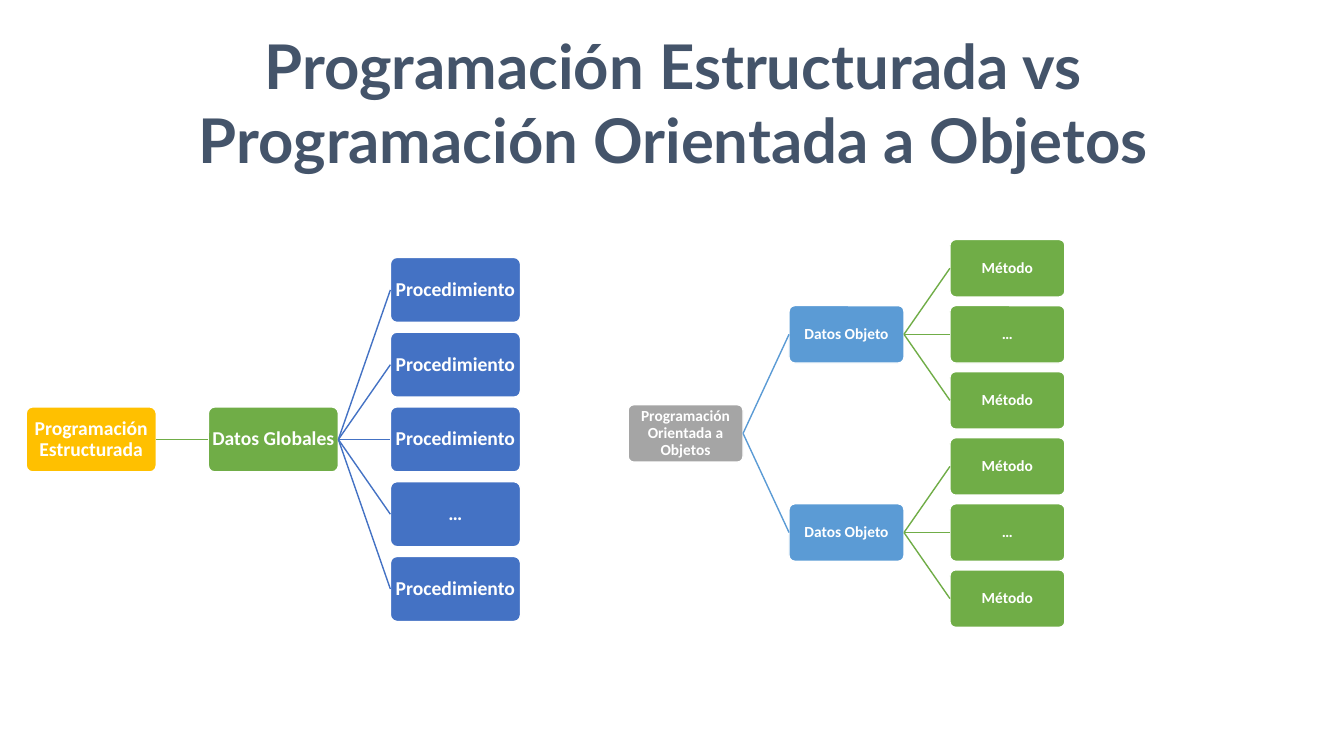
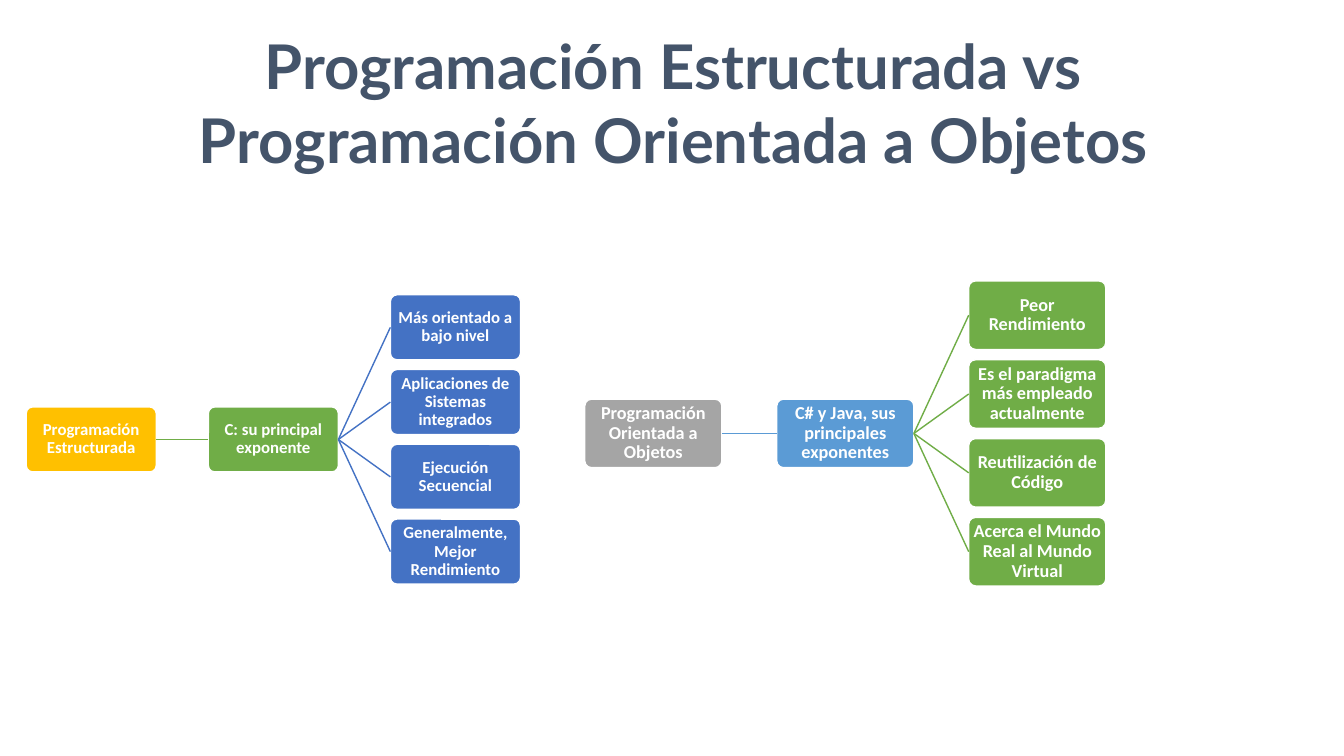
from dataclasses import dataclass

from pptx import Presentation
from pptx.dml.color import RGBColor
from pptx.enum.shapes import MSO_CONNECTOR, MSO_SHAPE
from pptx.enum.text import MSO_ANCHOR, MSO_AUTO_SIZE, PP_ALIGN
from pptx.oxml.ns import qn
from pptx.presentation import Presentation as Deck
from pptx.shapes.autoshape import Shape
from pptx.slide import Slide
from pptx.util import Inches, Pt

ROUNDED = MSO_SHAPE.ROUNDED_RECTANGLE
STRAIGHT = MSO_CONNECTOR.STRAIGHT
CENTER = PP_ALIGN.CENTER
TOP, MIDDLE = MSO_ANCHOR.TOP, MSO_ANCHOR.MIDDLE
FIT_SHAPE = MSO_AUTO_SIZE.SHAPE_TO_FIT_TEXT
LEFT_SIDE, RIGHT_SIDE = 1, 3
TITLE_ONLY = 5

COLORS = {
    "title": "44546A",
    "white": "FFFFFF",
    "gold": "FFC000",
    "green": "70AD47",
    "blue": "4472C4",
    "gray": "A5A5A5",
    "sky": "5B9BD5",
}
TITLE_FONT, BOX_FONT = "Lato", "Calibri"
TITLE = "Programación Estructurada vs\nProgramación Orientada a Objetos"

# Tree proportions, relative to the box width
BOX_HEIGHT = 0.5
COLUMN_STEP = 1.4
ROW_STEP = 0.575


@dataclass(frozen=True)
class Node:
    text: str
    color: str
    children: tuple["Node", ...] = ()

    def leaf_count(self) -> int:
        return sum(child.leaf_count() for child in self.children) or 1


@dataclass(frozen=True)
class Tree:
    root: Node
    left: float
    middle: float
    box_width: float
    font_size: int


def color(name: str) -> RGBColor:
    return RGBColor.from_string(COLORS[name])


def leaves(name: str, *texts: str) -> tuple[Node, ...]:
    return tuple(Node(text, name) for text in texts)


def structured_tree(branch: str, details: tuple[str, ...], font_size: int) -> Tree:
    trunk = Node(branch, "green", leaves("blue", *details))
    root = Node("Programación Estructurada", "gold", (trunk,))
    return Tree(root, 0.26, 4.36, 1.29, font_size)


def object_tree(branches: tuple[Node, ...], left: float, box_width: float,
                font_size: int) -> Tree:
    root = Node("Programación Orientada a Objetos", "gray", branches)
    return Tree(root, left, 4.3, box_width, font_size)


DATA_OBJECT = Node("Datos Objeto", "sky", leaves("green", "Método", "…", "Método"))
LANGUAGES = Node(
    "C# y Java, sus principales exponentes", "sky",
    leaves("green", "Peor Rendimiento", "Es el paradigma más empleado actualmente",
           "Reutilización de Código", "Acerca el Mundo Real al Mundo Virtual"))

PAGES = (
    (structured_tree("Datos Globales",
                     ("Procedimiento",) * 3 + ("…", "Procedimiento"), 14),
     object_tree((DATA_OBJECT, DATA_OBJECT), 6.23, 1.14, 11)),
    (structured_tree("C: su principal exponente",
                     ("Más orientado a bajo nivel",
                      "Aplicaciones de Sistemas integrados",
                      "Ejecución Secuencial",
                      "Generalmente, Mejor Rendimiento"), 12),
     object_tree((LANGUAGES,), 5.8, 1.36, 13)),
)


def add_title(page: Slide) -> None:
    title = page.shapes.title
    title.left, title.top = Inches(0.13), Inches(0.26)
    title.width, title.height = Inches(13.1), Inches(1.53)
    frame = title.text_frame
    frame.text = TITLE
    frame.word_wrap = True
    frame.auto_size = FIT_SHAPE
    frame.vertical_anchor = TOP
    frame.margin_left = frame.margin_right = Inches(0.05)
    frame.margin_top = frame.margin_bottom = Inches(0.02)
    for para in frame.paragraphs:
        para.alignment = CENTER
        para.font.name = TITLE_FONT
        para.font.size = Pt(44)
        para.font.bold = True
        para.font.color.rgb = color("title")


def add_box(page: Slide, tree: Tree, node: Node, left: float, middle: float) -> Shape:
    height = tree.box_width * BOX_HEIGHT
    box = page.shapes.add_shape(ROUNDED, Inches(left), Inches(middle - height / 2),
                                Inches(tree.box_width), Inches(height))
    box.adjustments[0] = 0.1
    box.shadow.inherit = False
    box.fill.solid()
    box.fill.fore_color.rgb = color(node.color)
    box.line.color.rgb = color("white")
    box.line.width = Pt(1)

    frame = box.text_frame
    frame.text = node.text
    frame.word_wrap = True
    frame.vertical_anchor = MIDDLE
    frame.margin_left = frame.margin_right = 0
    frame.margin_top = frame.margin_bottom = Inches(0.01)
    para = frame.paragraphs[0]
    para.alignment = CENTER
    para.line_spacing = 0.9
    para.font.name = BOX_FONT
    para.font.size = Pt(tree.font_size)
    para.font.bold = True
    para.font.color.rgb = color("white")
    return box


def add_branch(page: Slide, parent: Shape, child: Shape, color_name: str) -> None:
    branch = page.shapes.add_connector(STRAIGHT, 0, 0, 0, 0)
    branch.begin_connect(parent, RIGHT_SIDE)
    branch.end_connect(child, LEFT_SIDE)
    branch.line.color.rgb = color(color_name)
    branch.line.width = Pt(1)
    properties = branch._element.spPr
    properties.append(properties.makeelement(qn("a:effectLst"), {}))


def draw_node(page: Slide, tree: Tree, node: Node, column: int = 0,
              first_row: int = 0) -> Shape:
    """Draw a node centred on its leaves, then everything to its right."""
    row_offset = first_row + (node.leaf_count() - tree.root.leaf_count()) / 2
    left = tree.left + column * COLUMN_STEP * tree.box_width
    middle = tree.middle + row_offset * ROW_STEP * tree.box_width
    box = add_box(page, tree, node, left, middle)
    for child in node.children:
        child_box = draw_node(page, tree, child, column + 1, first_row)
        add_branch(page, box, child_box, child.color)
        first_row += child.leaf_count()
    return box


def add_page(deck: Deck, trees: tuple[Tree, ...]) -> None:
    page = deck.slides.add_slide(deck.slide_layouts[TITLE_ONLY])
    add_title(page)
    for tree in trees:
        draw_node(page, tree, tree.root)


def main() -> None:
    deck = Presentation()
    deck.slide_width, deck.slide_height = Inches(13.33), Inches(7.5)
    for trees in PAGES:
        add_page(deck, trees)
    deck.save("out.pptx")


if __name__ == "__main__":
    main()
